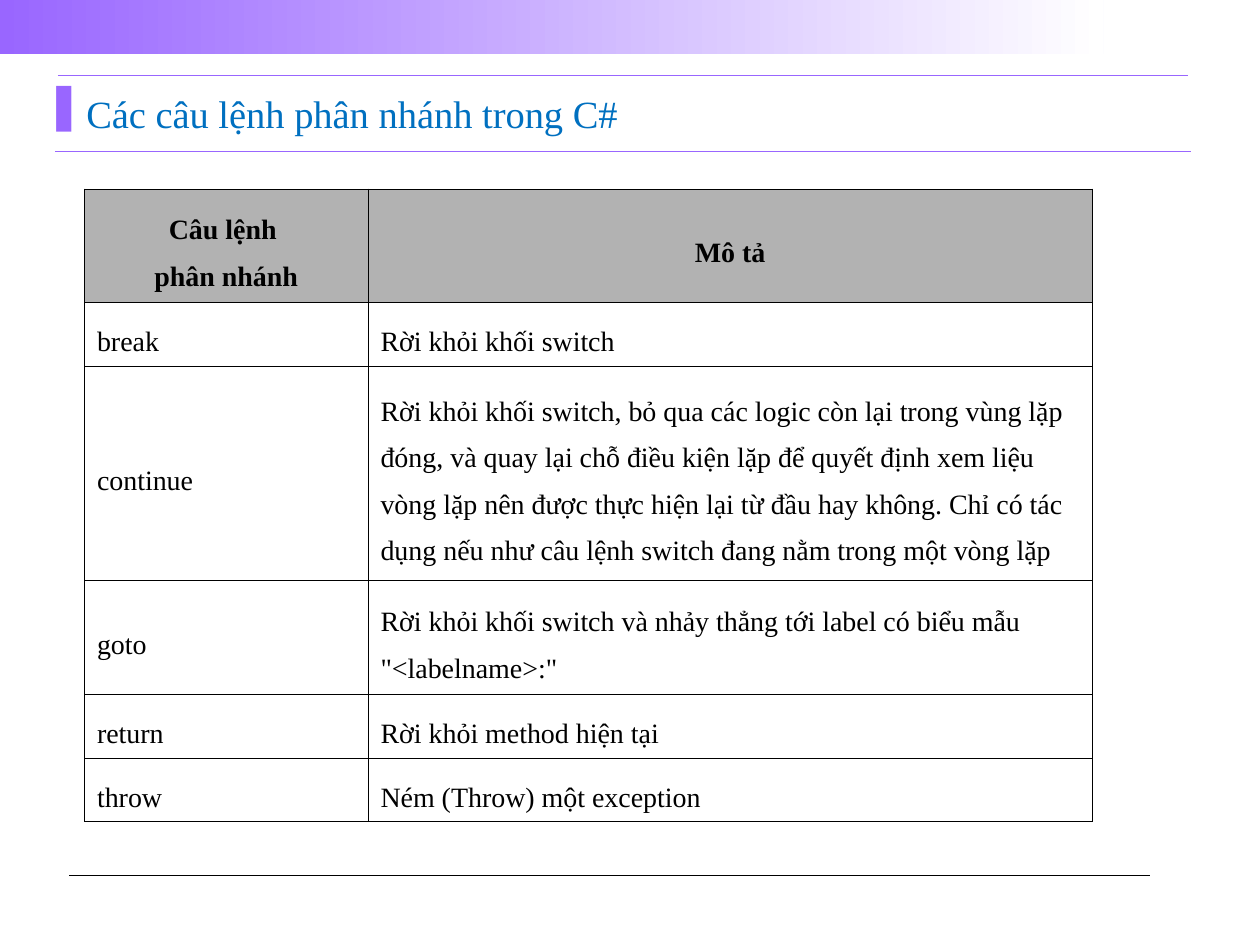
import dataclasses
import typing

import lxml.etree
import pptx
import pptx.dml.color
import pptx.enum.shapes
import pptx.enum.text
import pptx.oxml.ns
import pptx.util

EMU_PER_PX = 9144  # 100 px to the inch


@dataclasses.dataclass(frozen=True)
class Theme:
    font: str = "Times New Roman"
    accent: str = "9966FF"
    title: str = "0070C0"
    ink: str = "000000"
    paper: str = "FFFFFF"
    header: str = "B2B2B2"
    title_pt: int = 22
    cell_pt: int = 16
    border_pt: float = 0.45


class Rule(typing.NamedTuple):
    x1: int
    x2: int
    y: int
    color: str
    width_pt: float


class Statement(typing.NamedTuple):
    name: str
    description: str
    height: int


THEME = Theme()
RULES = [
    Rule(44, 945, 120, THEME.accent, 0.5),
    Rule(55, 913, 695, THEME.ink, 0.75),
    Rule(46, 943, 60, THEME.accent, 0.75),
]
COLUMNS = (225, 575)
HANGING = 38
STATEMENTS = [
    Statement("Câu lệnh \nphân nhánh", "Mô tả", 90),
    Statement("break", "Rời khỏi khối switch", 51),
    Statement(
        "continue",
        "Rời khỏi khối switch, bỏ qua các logic còn lại trong vùng lặp đóng, "
        "và quay lại chỗ điều kiện lặp để quyết định xem liệu vòng lặp nên "
        "được thực hiện lại từ đầu hay không. Chỉ có tác dụng nếu như câu lệnh "
        "switch đang nằm trong một vòng lặp",
        170,
    ),
    Statement(
        "goto",
        'Rời khỏi khối switch và nhảy thẳng tới label có biểu mẫu "<labelname>:"',
        90,
    ),
    Statement("return", "Rời khỏi method hiện tại", 51),
    Statement("throw", "Ném (Throw) một exception", 50),
]


def px(n: int) -> pptx.util.Emu:
    return pptx.util.Emu(n * EMU_PER_PX)


def rgb(color: str) -> pptx.dml.color.RGBColor:
    return pptx.dml.color.RGBColor.from_string(color)


def add_child(parent, tag: str, **attrs: str):
    return lxml.etree.SubElement(parent, pptx.oxml.ns.qn(tag), attrs)


def set_indent(p, left: int, first: int) -> None:
    pPr = p._p.get_or_add_pPr()
    pPr.set("marL", str(px(left)))
    pPr.set("indent", str(px(first)))


def format_runs(p, size: int, color: str, bold: bool = False) -> None:
    for r in p.runs:
        r.font.name = THEME.font
        r.font.size = pptx.util.Pt(size)
        r.font.bold = bold
        r.font.color.rgb = rgb(color)


def add_band(s) -> None:
    sp = s.shapes.add_shape(
        pptx.enum.shapes.MSO_SHAPE.RECTANGLE, 0, 0, px(876), px(43)
    )
    sp.shadow.inherit = False
    sp.line.fill.background()
    sp.fill.gradient()
    sp.fill.gradient_angle = 0
    for stop, color in zip(sp.fill.gradient_stops, (THEME.accent, THEME.paper)):
        stop.color.rgb = rgb(color)


def add_rule(s, rule: Rule) -> None:
    line = s.shapes.add_connector(
        pptx.enum.shapes.MSO_CONNECTOR.STRAIGHT,
        px(rule.x1), px(rule.y), px(rule.x2), px(rule.y),
    )
    line.line.color.rgb = rgb(rule.color)
    line.line.width = pptx.util.Pt(rule.width_pt)
    add_child(line._element.spPr, "a:effectLst")


def set_title(s, text: str) -> None:
    sp = s.shapes.title
    sp.left, sp.top, sp.width, sp.height = px(45), px(71), px(862), px(37)
    tf = sp.text_frame
    tf.text = text
    tf.word_wrap = True
    tf.auto_size = pptx.enum.text.MSO_AUTO_SIZE.SHAPE_TO_FIT_TEXT
    tf.vertical_anchor = pptx.enum.text.MSO_ANCHOR.BOTTOM
    tf.margin_left = tf.margin_top = tf.margin_right = tf.margin_bottom = 0
    p = tf.paragraphs[0]
    p.alignment = pptx.enum.text.PP_ALIGN.LEFT
    set_indent(p, 19, -19)
    pPr = p._p.get_or_add_pPr()
    add_child(add_child(pPr, "a:buClr"), "a:srgbClr", val=THEME.accent)
    add_child(pPr, "a:buChar", char="▌")
    format_runs(p, THEME.title_pt, THEME.title)


def set_borders(cell) -> None:
    """Put the four side lines first in the cell properties, as the schema asks."""
    tcPr = cell._tc.get_or_add_tcPr()
    for i, side in enumerate(("a:lnL", "a:lnR", "a:lnT", "a:lnB")):
        ln = add_child(tcPr, side, w=str(pptx.util.Pt(THEME.border_pt)))
        add_child(add_child(ln, "a:solidFill"), "a:srgbClr", val=THEME.ink)
        tcPr.insert(i, ln)


def fill_cell(cell, text: str, header: bool, hanging: bool) -> None:
    cell.text_frame.text = text
    cell.vertical_anchor = pptx.enum.text.MSO_ANCHOR.MIDDLE
    if header:
        cell.fill.solid()
        cell.fill.fore_color.rgb = rgb(THEME.header)
    else:
        cell.fill.background()
    set_borders(cell)
    align = pptx.enum.text.PP_ALIGN
    for p in cell.text_frame.paragraphs:
        p.line_spacing = 1.5
        p.alignment = align.CENTER if header else align.LEFT
        if hanging:
            set_indent(p, HANGING, -HANGING)
        format_runs(p, THEME.cell_pt, THEME.ink, bold=header)


def add_statement_table(s, statements: typing.Sequence[Statement]) -> None:
    height = sum(st.height for st in statements)
    table = s.shapes.add_table(
        len(statements), len(COLUMNS), px(67), px(150), px(sum(COLUMNS)), px(height)
    ).table
    table.first_row = table.horz_banding = False
    for column, width in zip(table.columns, COLUMNS):
        column.width = px(width)
    for i, st in enumerate(statements):
        table.rows[i].height = px(st.height)
        header = i == 0
        fill_cell(table.cell(i, 0), st.name, header, hanging=True)
        fill_cell(table.cell(i, 1), st.description, header, hanging=header)


def main() -> None:
    prs = pptx.Presentation()
    prs.slide_width, prs.slide_height = px(1000), px(750)
    s = prs.slides.add_slide(prs.slide_layouts.get_by_name("Title Only"))
    add_band(s)
    for rule in RULES:
        add_rule(s, rule)
    set_title(s, "Các câu lệnh phân nhánh trong C#")
    add_statement_table(s, STATEMENTS)
    prs.save("out.pptx")


if __name__ == "__main__":
    main()
